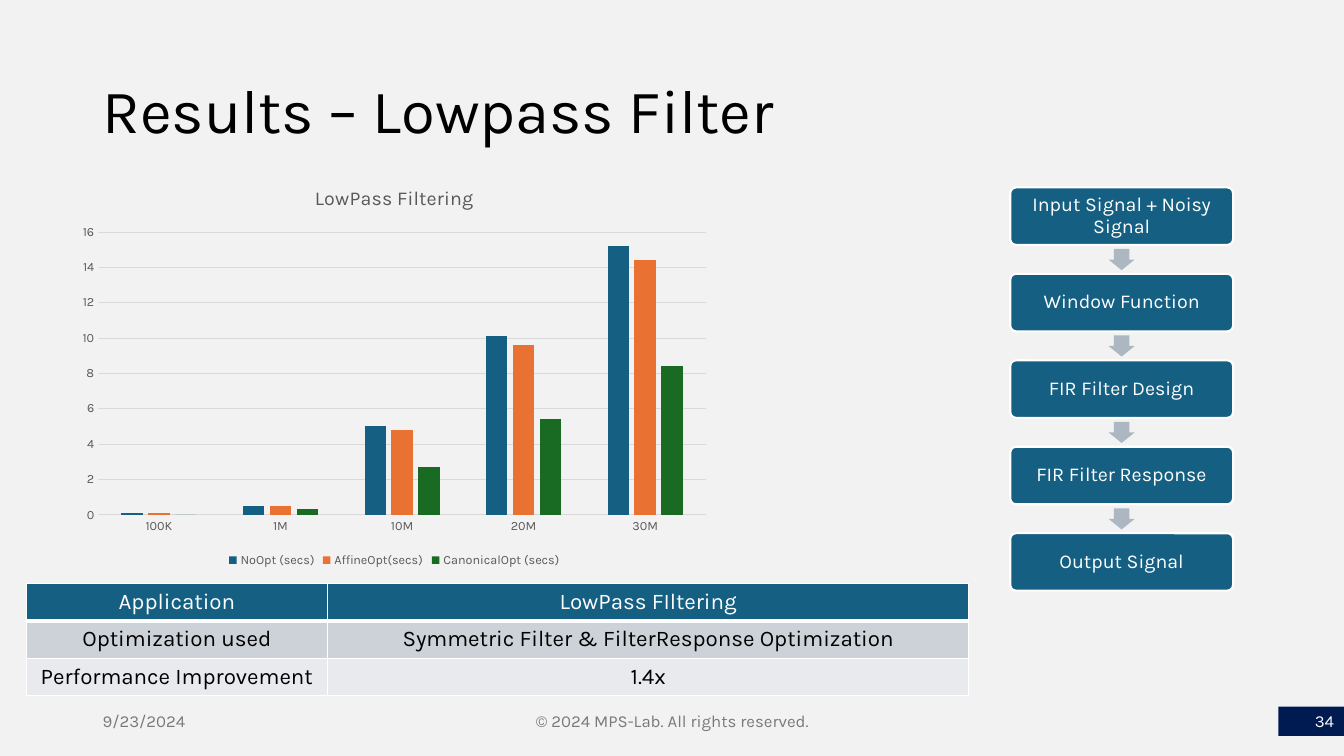
from lxml import etree
from pptx import Presentation
from pptx.chart.data import CategoryChartData
from pptx.dml.color import RGBColor
from pptx.enum.chart import XL_CHART_TYPE, XL_LEGEND_POSITION, XL_TICK_MARK
from pptx.enum.shapes import MSO_SHAPE
from pptx.enum.text import MSO_ANCHOR, PP_ALIGN
from pptx.oxml.ns import qn
from pptx.util import Inches, Pt

LEFT, CENTER, RIGHT = PP_ALIGN.LEFT, PP_ALIGN.CENTER, PP_ALIGN.RIGHT
MIDDLE = MSO_ANCHOR.MIDDLE
COLUMNS = XL_CHART_TYPE.COLUMN_CLUSTERED
BOTTOM = XL_LEGEND_POSITION.BOTTOM
NO_TICK = XL_TICK_MARK.NONE
RECTANGLE, ROUNDED = MSO_SHAPE.RECTANGLE, MSO_SHAPE.ROUNDED_RECTANGLE
DOWN_ARROW = MSO_SHAPE.DOWN_ARROW

FONT = "Karla"
HEX = {
    "background": "F2F2F2", "black": "000000", "white": "FFFFFF",
    "footer": "797979", "navy": "001A52", "blue": "156082",
    "orange": "E97132", "green": "196B24", "arrow": "ACB7C1",
    "label": "595959", "grid": "D9D9D9", "band": "CCD2D8", "light": "E8EAED",
}
COLOR = {name: RGBColor.from_string(value) for name, value in HEX.items()}


def style_font(font, size, color):
    font.name = FONT
    font.size = Pt(size)
    font.bold = False
    font.color.rgb = COLOR[color]


def write(text_frame, text, size, color, align, spacing=1.0):
    text_frame.word_wrap = True
    text_frame.vertical_anchor = MIDDLE
    paragraph = text_frame.paragraphs[0]
    paragraph.alignment = align
    paragraph.line_spacing = spacing
    run = paragraph.add_run()
    run.text = text
    style_font(run.font, size, color)


presentation = Presentation()
presentation.slide_width = Inches(13.33)
presentation.slide_height = Inches(7.5)
slide = presentation.slides.add_slide(presentation.slide_layouts[6])
slide.background.fill.solid()
slide.background.fill.fore_color.rgb = COLOR["background"]

text_boxes = [
    ("Results – Lowpass Filter", (0.92, 0.4, 11.5, 1.45), 44, "black", LEFT, 0.9),
    ("9/23/2024", (0.92, 6.95, 3, 0.4), 12, "footer", LEFT, 1.0),
    ("© 2024 MPS-Lab. All rights reserved.", (4.42, 6.95, 4.5, 0.4), 12, "footer", CENTER, 1.0),
]
for text, box, size, color, align, spacing in text_boxes:
    text_box = slide.shapes.add_textbox(*map(Inches, box))
    write(text_box.text_frame, text, size, color, align, spacing)

page_number = slide.shapes.add_shape(
    RECTANGLE, Inches(12.68), Inches(7.01), Inches(0.65), Inches(0.29))
page_number.shadow.inherit = False
page_number.fill.solid()
page_number.fill.fore_color.rgb = COLOR["navy"]
page_number.line.fill.background()
write(page_number.text_frame, "34", 12, "white", RIGHT)

steps = ["Input Signal + Noisy Signal", "Window Function", "FIR Filter\u00a0Design".replace("\u00a0", " "),
         "FIR Filter Response", "Output Signal"]
step_left, step_width, step_height = 10.02, 2.21, 0.57
arrow_width, arrow_height = 0.26, 0.21
step_pitch = (5.29 - 1.86) / (len(steps) - 1)
for index, text in enumerate(steps):
    top = 1.86 + index * step_pitch
    step = slide.shapes.add_shape(
        ROUNDED, Inches(step_left), Inches(top), Inches(step_width), Inches(step_height))
    step.adjustments[0] = 0.1
    step.shadow.inherit = False
    step.fill.solid()
    step.fill.fore_color.rgb = COLOR["blue"]
    step.line.color.rgb = COLOR["white"]
    step.line.width = Pt(1.5)
    frame = step.text_frame
    frame.margin_left = frame.margin_right = Inches(0.06)
    frame.margin_top = frame.margin_bottom = Inches(0.06)
    write(frame, text, 14, "white", CENTER, 0.9)
    if index < len(steps) - 1:
        arrow = slide.shapes.add_shape(
            DOWN_ARROW, Inches(step_left + (step_width - arrow_width) / 2),
            Inches(top + 0.61), Inches(arrow_width), Inches(arrow_height))
        arrow.adjustments[0] = 0.6
        arrow.adjustments[1] = 0.5
        arrow.shadow.inherit = False
        arrow.fill.solid()
        arrow.fill.fore_color.rgb = COLOR["arrow"]
        arrow.line.fill.background()

timings = [
    ("NoOpt (secs)", (0.1, 0.5, 5, 10.1, 15.2), "blue"),
    ("AffineOpt(secs)", (0.1, 0.5, 4.8, 9.6, 14.4), "orange"),
    ("CanonicalOpt (secs)", (0, 0.3, 2.7, 5.4, 8.4), "green"),
]
chart_data = CategoryChartData()
chart_data.categories = ["100K", "1M", "10M", "20M", "30M"]
for name, values, color in timings:
    chart_data.add_series(name, values)
chart = slide.shapes.add_chart(
    COLUMNS, Inches(0.69), Inches(1.67), Inches(6.44), Inches(4), chart_data).chart
style_font(chart.font, 10, "black")
chart.has_title = True
title_run = chart.chart_title.text_frame.paragraphs[0].add_run()
title_run.text = "LowPass Filtering"
style_font(title_run.font, 14, "label")
chart.chart_title.include_in_layout = False
chart.has_legend = True
chart.legend.position = BOTTOM
chart.legend.include_in_layout = False
style_font(chart.legend.font, 9, "label")

for axis in (chart.category_axis, chart.value_axis):
    axis.major_tick_mark = NO_TICK
    axis.minor_tick_mark = NO_TICK
    style_font(axis.tick_labels.font, 9, "label")
chart.category_axis.format.line.color.rgb = COLOR["grid"]
chart.category_axis.format.line.width = Pt(0.75)
value_axis = chart.value_axis
value_axis.minimum_scale = 0
value_axis.maximum_scale = 16
value_axis.major_unit = 2
value_axis.format.line.fill.background()
value_axis.major_gridlines.format.line.color.rgb = COLOR["grid"]
value_axis.major_gridlines.format.line.width = Pt(0.75)

plot = chart.plots[0]
plot.vary_by_categories = False
plot.gap_width = 219
plot.overlap = -27
for series, (name, values, color) in zip(plot.series, timings):
    series.invert_if_negative = False
    series.format.fill.solid()
    series.format.fill.fore_color.rgb = COLOR[color]

table_rows = [
    (("Application", "LowPass FIltering"), "blue", "white"),
    (("Optimization used", "Symmetric Filter & FilterResponse Optimization"), "band", "black"),
    (("Performance Improvement", "1.4x"), "light", "black"),
]
table = slide.shapes.add_table(
    3, 2, Inches(0.26), Inches(5.79), Inches(9.35), Inches(1.11)).table
table.columns[0].width = Inches(2.99)
table.columns[1].width = Inches(6.36)
for row_index, (texts, fill, color) in enumerate(table_rows):
    table.rows[row_index].height = Inches(0.37)
    for column_index, text in enumerate(texts):
        cell = table.cell(row_index, column_index)
        cell.margin_left = cell.margin_right = cell.margin_top = cell.margin_bottom = 0
        cell.vertical_anchor = MIDDLE
        write(cell.text_frame, text, 16, color, CENTER)
        properties = cell._tc.get_or_add_tcPr()
        for side in ("a:lnL", "a:lnR", "a:lnT", "a:lnB"):
            width = 3 if row_index == 0 and side == "a:lnB" else 1
            border = etree.SubElement(properties, qn(side), w=str(Pt(width)))
            border_fill = etree.SubElement(border, qn("a:solidFill"))
            etree.SubElement(border_fill, qn("a:srgbClr"), val=HEX["white"])
        cell.fill.solid()
        cell.fill.fore_color.rgb = COLOR[fill]

presentation.save("out.pptx")
